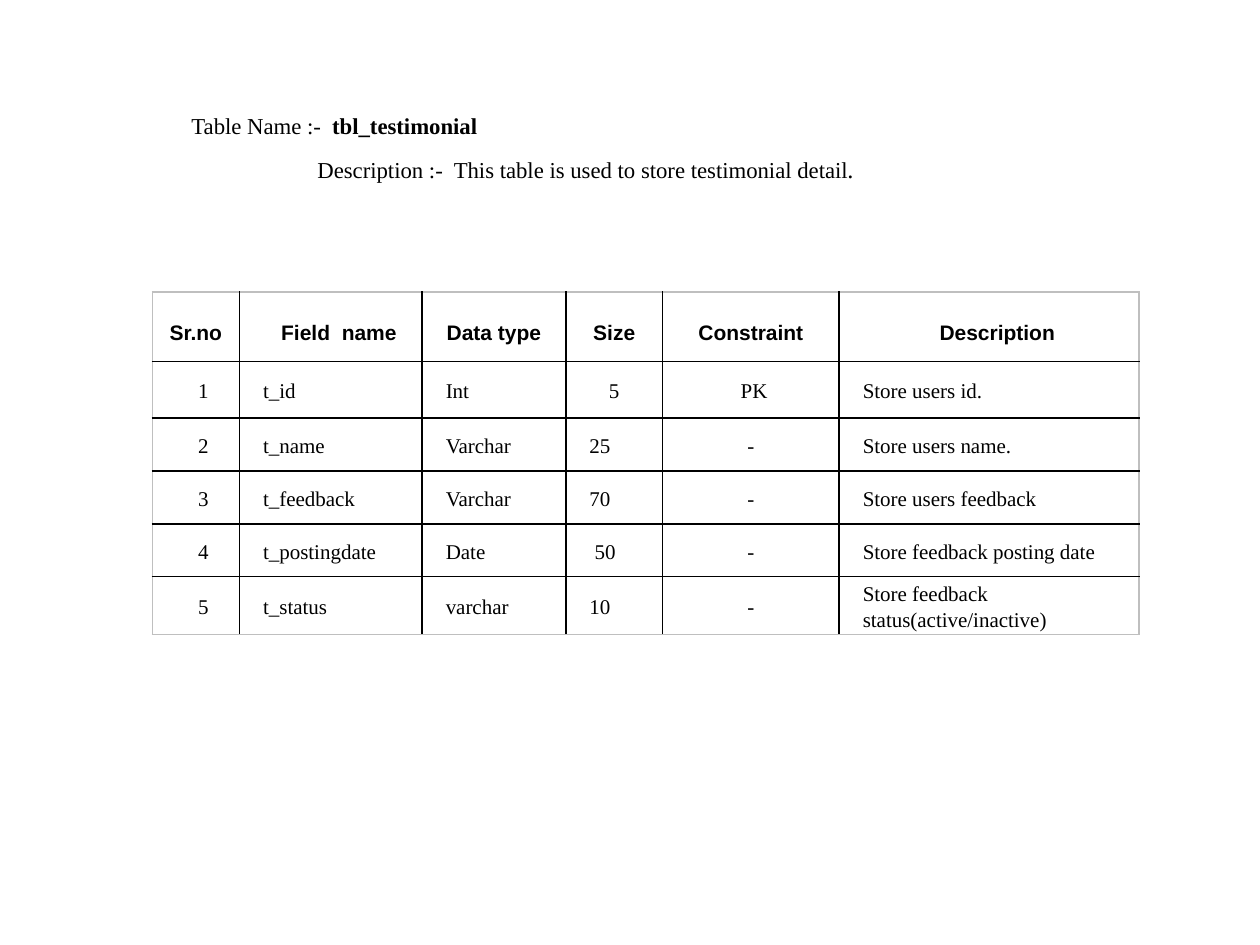
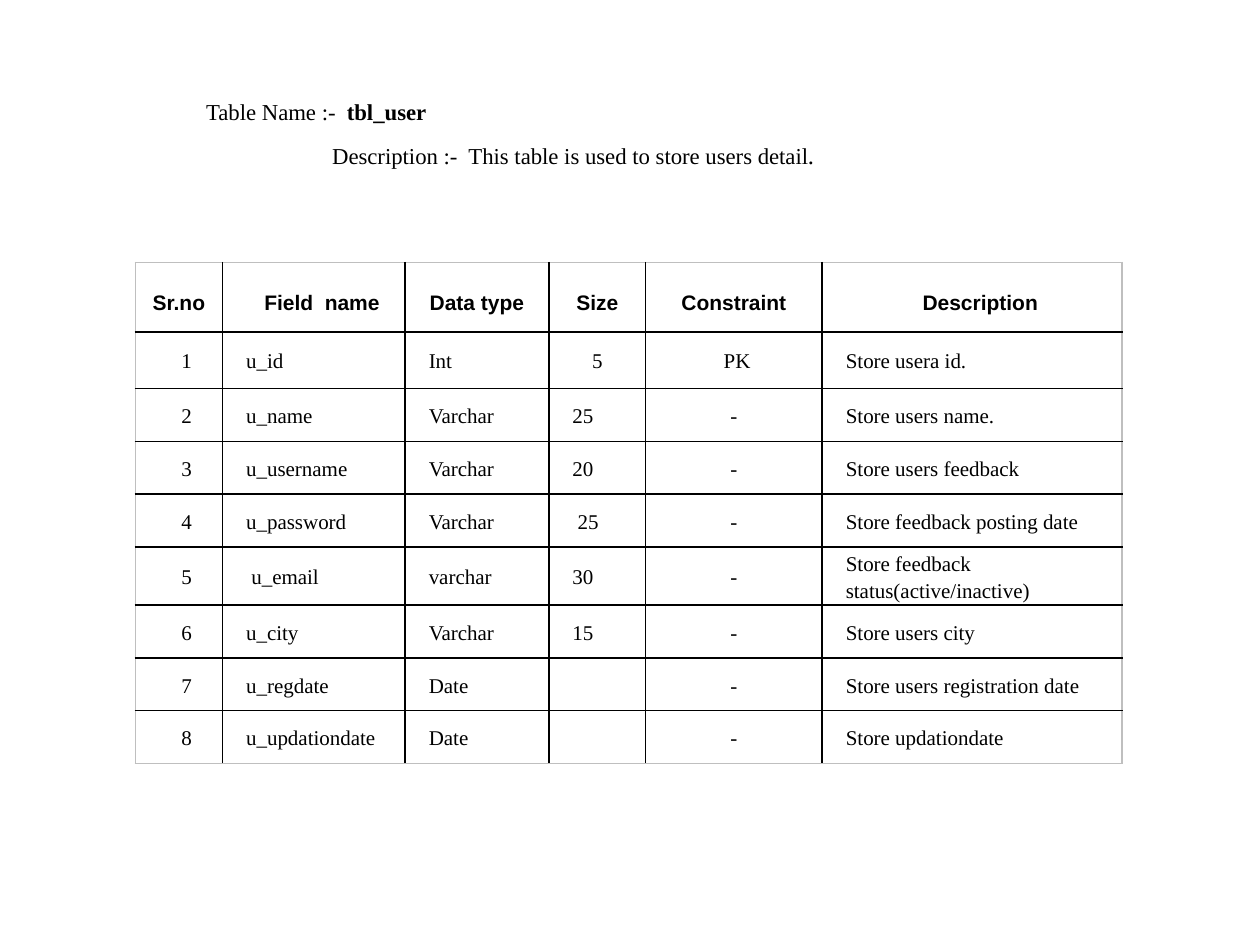
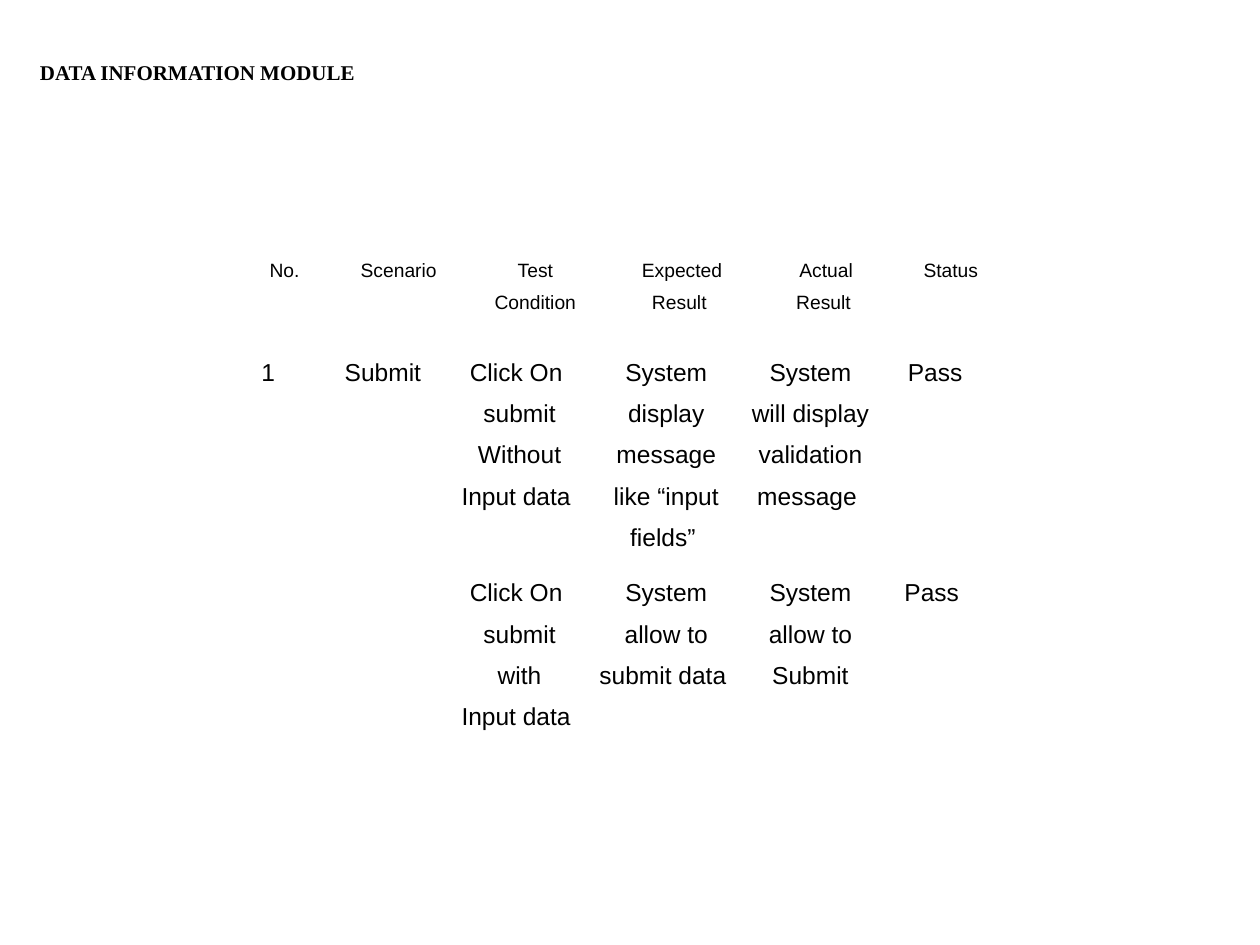
from pptx import Presentation
from pptx.dml.color import RGBColor
from pptx.enum.text import MSO_ANCHOR as Anchor, PP_ALIGN as Align
from pptx.oxml.xmlchemy import OxmlElement
from pptx.util import Pt

# Shared look
BLACK = RGBColor(0x00, 0x00, 0x00)
OUTER_GRAY = RGBColor(0xBF, 0xBF, 0xBF)
SANS, SERIF = "Arial", "Times New Roman"
CELL_INSET = 4.9
TAB = 72

# Content: database tables
FIELD_HEADINGS = ["Sr.no", "Field  name", "Data type", "Size", "Constraint", "Description"]
FIELD_WIDTHS = [49.7, 104.4, 82.1, 55.4, 100.8, 171.4]
FIELD_INDENTS = [8.64, 8.64, 8.64, 8.64, 0, 8.64]
CENTRED_COLUMNS = {0, 4}

FIELD_PAGES = [
    dict(
        name="tbl_testimonial", purpose="This table is used to store testimonial detail",
        heading_at=(30.3, 51.1), table_at=(87.1, 167),
        fields=[
            ("t_id", "Int", "5", "PK", "Store users id."),
            ("t_name", "Varchar", "25", "-", "Store users name."),
            ("t_feedback", "Varchar", "70", "-", "Store users feedback"),
            ("t_postingdate", "Date", " 50", "-", "Store feedback posting date"),
            ("t_status", "varchar", "10", "-", "Store feedback status(active/inactive)"),
        ],
    ),
    dict(
        name="tbl_user", purpose="This table is used to store users detail",
        heading_at=(38.7, 42.8), table_at=(77.4, 150),
        fields=[
            ("u_id", "Int", "5", "PK", "Store usera id."),
            ("u_name", "Varchar", "25", "-", "Store users name."),
            ("u_username", "Varchar", "20", "-", "Store users feedback"),
            ("u_password", "Varchar", " 25", "-", "Store feedback posting date"),
            (" u_email", "varchar", "30", "-", "Store feedback status(active/inactive)"),
            ("u_city", "Varchar", "15", "-", "Store users city"),
            ("u_regdate", "Date", "", "-", "Store users registration date"),
            ("u_updationdate", "Date", "", "-", "Store updationdate"),
        ],
    ),
]

# Content: test cases
MODULE_TITLE = "DATA INFORMATION MODULE"
TEST_WIDTHS = [51.1, 76.3, 79.9, 87.8, 77, 65.5]
TEST_HEIGHTS = [54.7, 125.8, 96]
TEST_ROWS = [
    ["No. ", "Scenario", "Test Condition", "Expected Result ", "Actual Result ", "Status"],
    ["1 ", "Submit", "Click On  submit Without\nInput data ",
     "System display message like “input fields” ",
     "System will display validation message ", "Pass"],
    ["", "", "Click On  submit with\nInput data ", "System allow to submit data ",
     "System allow to Submit", "Pass "],
]


def style(font, name, size, bold=False):
    font.name, font.size, font.bold = name, Pt(size), bold
    font.color.rgb = BLACK


def set_indent(para, left, first=0):
    props = para._p.get_or_add_pPr()
    props.set("marL", str(Pt(left)))
    props.set("indent", str(Pt(first)))


def add_box(page, left, top, width, height):
    frame = page.shapes.add_textbox(Pt(left), Pt(top), Pt(width), Pt(height)).text_frame
    frame.word_wrap = True
    return frame


def add_grid(page, left, top, widths, heights):
    """Add a plain, unfilled table and return it."""
    table = page.shapes.add_table(len(heights), len(widths), Pt(left), Pt(top),
                                  Pt(sum(widths)), Pt(sum(heights))).table
    table.first_row = table.horz_banding = False
    for column, width in zip(table.columns, widths):
        column.width = Pt(width)
    for row, height in zip(table.rows, heights):
        row.height = Pt(height)
    for cell in table.iter_cells():
        cell.margin_left = cell.margin_right = Pt(CELL_INSET)
        cell.margin_top = cell.margin_bottom = 0
        cell.fill.background()
    return table


def fill_cell(cell, text, font, size, spacing, bold=False, align=Align.CENTER, indent=0):
    if not text:
        return
    cell.text_frame.text = text
    for para in cell.text_frame.paragraphs:
        set_indent(para, indent)
        para.alignment, para.line_spacing = align, spacing
        for span in para.runs:
            style(span.font, font, size, bold)


def add_borders(table):
    """Black inner rules, gray outer frame."""
    last_row, last_column = len(table.rows) - 1, len(table.columns) - 1
    for r, row in enumerate(table.rows):
        for c, cell in enumerate(row.cells):
            sides = {"L": c == 0, "R": c == last_column, "T": r == 0, "B": r == last_row}
            props = cell._tc.get_or_add_tcPr()
            for place, (side, outer) in enumerate(sides.items()):
                line = OxmlElement(f"a:ln{side}")
                line.set("w", str(Pt(1)))
                solid, color = OxmlElement("a:solidFill"), OxmlElement("a:srgbClr")
                color.set("val", str(OUTER_GRAY if outer else BLACK))
                solid.append(color)
                line.append(solid)
                props.insert(place, line)


def add_field_heading(page, at, name, purpose):
    frame = add_box(page, *at, 603.4, 58.3)
    lines = [
        [("\t", SANS, 14, False), ("Table Name :-  ", SERIF, 13, False), (name, SERIF, 13, True)],
        [("\t", SERIF, 13, False), (f"Description :-  {purpose}", SERIF, 13, False),
         (".", SERIF, 14, False)],
    ]
    for level, spans in enumerate(lines, 1):
        para = frame.paragraphs[0] if level == 1 else frame.add_paragraph()
        set_indent(para, level * TAB, -TAB)
        para.line_spacing = 1.5
        for text, font, size, bold in spans:
            span = para.add_run()
            span.text = text
            style(span.font, font, size, bold)


def add_field_table(page, at, fields):
    heights = [39.6, 32.4] + [30.2] * (len(fields) - 1)
    table = add_grid(page, *at, FIELD_WIDTHS, heights)
    for c, text in enumerate(FIELD_HEADINGS):
        fill_cell(table.cell(0, c), text, SANS, 12, 1.5, bold=True,
                  indent=9.4 if c in (1, 5) else 0)
    for r, field in enumerate(fields, 1):
        for c, text in enumerate((str(r), *field)):
            align = Align.CENTER if c in CENTRED_COLUMNS else Align.LEFT
            indent = FIELD_INDENTS[c]
            if text == "PK":
                indent = 3.6
            elif c == 3 and r == 1:  # the key's size is centred
                align, indent = Align.CENTER, 0
            fill_cell(table.cell(r, c), text, SERIF, 12, 1.15, align=align, indent=indent)
    for cell in table.iter_cells():
        cell.vertical_anchor = Anchor.MIDDLE
    add_borders(table)


def add_test_page(page):
    table = add_grid(page, 129.6, 142.6, TEST_WIDTHS, TEST_HEIGHTS)
    for r, row in enumerate(TEST_ROWS):
        size, indent = (11, 18) if r == 0 else (14, 0)
        for c, text in enumerate(row):
            fill_cell(table.cell(r, c), text, SANS, size, 1.5, indent=indent)

    frame = add_box(page, 15.8, 26.6, 704, 36)
    frame.vertical_anchor = Anchor.MIDDLE
    frame.margin_top, frame.margin_bottom = 0, Pt(6.8)
    frame.text = MODULE_TITLE
    style(frame.paragraphs[0].runs[0].font, SERIF, 12, True)


def main():
    deck = Presentation()
    deck.slide_width, deck.slide_height = Pt(720), Pt(540)
    blank = deck.slide_layouts[6]
    for content in FIELD_PAGES:
        page = deck.slides.add_slide(blank)
        add_field_heading(page, content["heading_at"], content["name"], content["purpose"])
        add_field_table(page, content["table_at"], content["fields"])
    add_test_page(deck.slides.add_slide(blank))
    deck.save("out.pptx")


if __name__ == "__main__":
    main()
